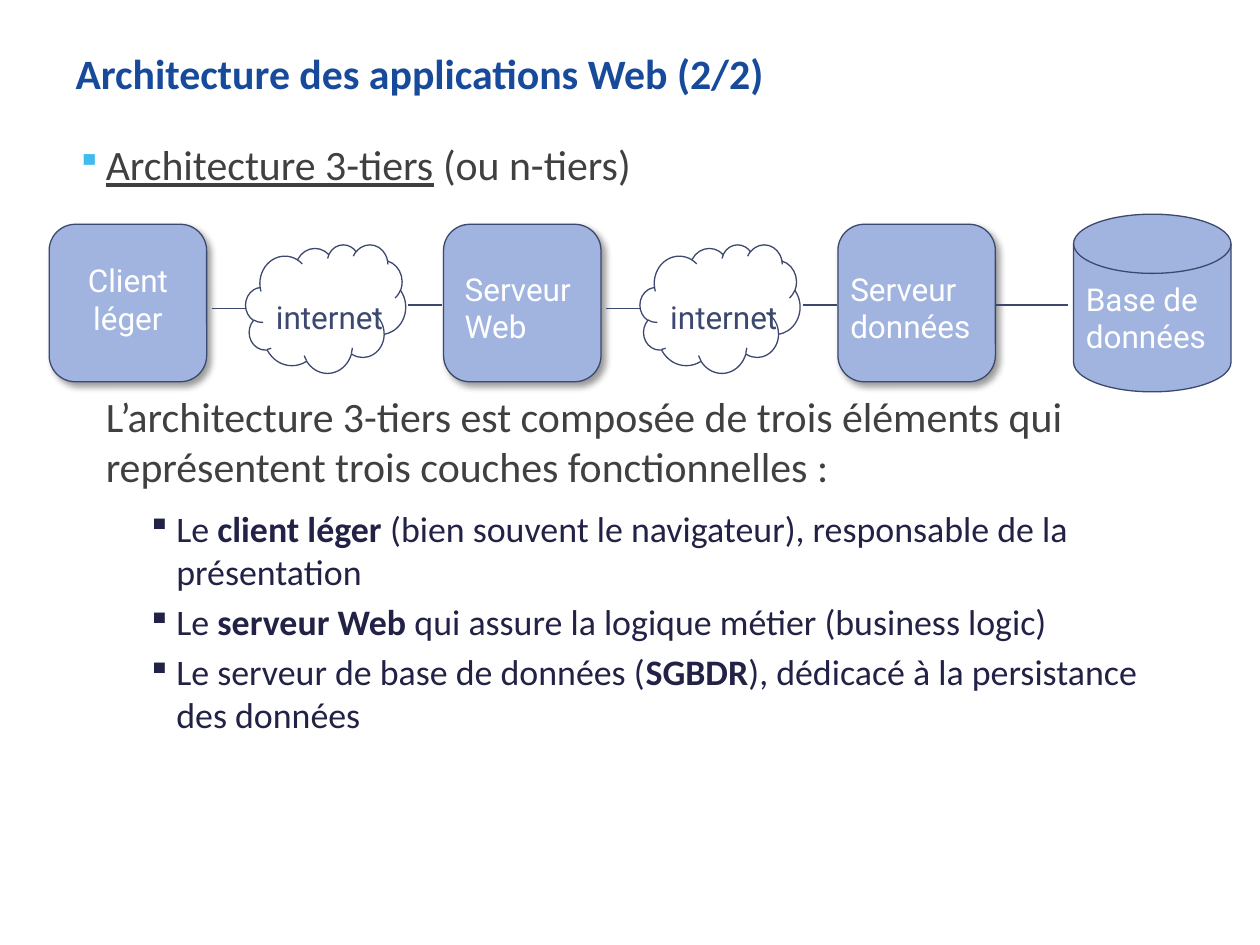
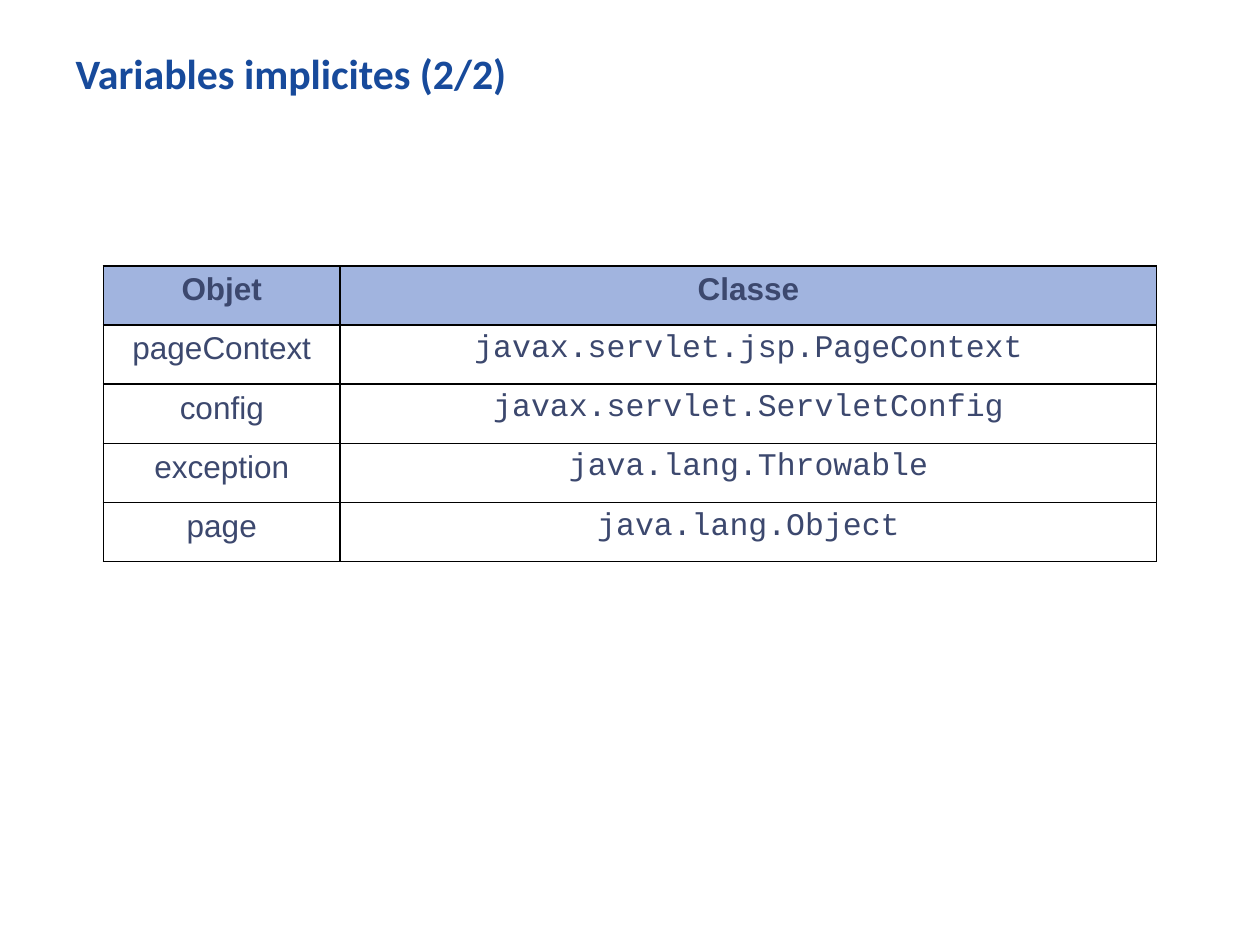
from dataclasses import dataclass
from lxml import etree
from pptx import Presentation
from pptx.dml.color import RGBColor
from pptx.enum.shapes import MSO_CONNECTOR, MSO_SHAPE
from pptx.enum.text import PP_ALIGN
from pptx.oxml.ns import qn
from pptx.util import Inches, Pt


@dataclass(frozen=True)
class Theme:
    title: str = "174A9B"
    text: str = "404040"
    item: str = "222146"
    mark: str = "40BBED"
    fill: str = "A1B4DF"
    line: str = "3C486E"
    white: str = "FFFFFF"
    black: str = "000000"
    body: str = "Calibri"
    label: str = "Roboto"
    cell: str = "Arial"
    code: str = "Courier New"
    big: float = 23.9
    mid: float = 20.5
    small: float = 18


T = Theme()


def color(code):
    return RGBColor.from_string(code)


def style(para, face, size, tint, bold=None):
    font = para.font
    font.name, font.size, font.bold = face, Pt(size), bold
    font.color.rgb = color(tint)


def add(parent, tag, **attrs):
    return etree.SubElement(parent, qn(tag), {k: str(v) for k, v in attrs.items()})


def indent(para, left, mark=None, size=100):
    """Set the left margin in inches; a mark colour adds a hanging square bullet."""
    props = para._p.get_or_add_pPr()
    props.set("marL", str(Inches(left)))
    props.set("indent", str(Inches(-0.23 if mark else 0)))
    if mark:
        add(add(props, "a:buClr"), "a:srgbClr", val=mark)
        add(props, "a:buSzPct", val=size * 1000)
        add(props, "a:buChar", char="▪")


def text_box(slide, left, top, width, height, pad=(0.11, 0.06)):
    box = slide.shapes.add_textbox(*map(Inches, (left, top, width, height)))
    frame = box.text_frame
    frame.word_wrap = True
    frame.margin_left = frame.margin_right = Inches(pad[0])
    frame.margin_top = frame.margin_bottom = Inches(pad[1])
    return frame


def add_runs(para, *parts):
    runs = []
    for part in parts:
        run = para.add_run()
        run.text = part
        runs.append(run)
    return runs


def new_slide(deck, title):
    slide = deck.slides.add_slide(deck.slide_layouts[6])
    para = text_box(slide, 0.49, 0.32, 9.01, 0.64).paragraphs[0]
    para.text = title
    style(para, T.body, T.big, T.title, True)
    return slide


def add_node(slide, kind, left, top, width, height, fill=T.fill, shade=False):
    node = slide.shapes.add_shape(kind, *map(Inches, (left, top, width, height)))
    node.shadow.inherit = False
    node.fill.solid()
    node.fill.fore_color.rgb = color(fill)
    node.line.color.rgb = color(T.line)
    node.line.width = Pt(0.75)
    if shade:
        glow = add(node._element.spPr.find(qn("a:effectLst")), "a:outerShdw",
                   blurRad=Pt(4), dist=Pt(3), dir=45 * 60000, algn="tl", rotWithShape=0)
        add(add(glow, "a:srgbClr", val=T.black), "a:alpha", val=40000)


def add_link(slide, start, end, level):
    link = slide.shapes.add_connector(
        MSO_CONNECTOR.STRAIGHT, *map(Inches, (start, level, end, level)))
    link.line.color.rgb = color(T.line)
    link.line.width = Pt(0.75)
    add(link._element.spPr, "a:effectLst")


def add_label(slide, text, left, top, width=1.33, tint=T.white, align=PP_ALIGN.LEFT, space=None):
    para = text_box(slide, left, top, width, 0.71, (0.1, 0.05)).paragraphs[0]
    para.text = text
    para.alignment = align
    para.line_spacing = space
    style(para, T.label, T.small, tint)


def add_tiers(slide, left, top):
    """Draw client, servers and database, joined through two internet clouds."""
    side, pitch = 1.25, 3.13
    for i in range(3):
        add_node(slide, MSO_SHAPE.ROUNDED_RECTANGLE, left + i * pitch, top + 0.08,
                 side, side, shade=True)
    add_label(slide, "Client\nléger", left, top + 0.32, side, align=PP_ALIGN.CENTER)
    add_label(slide, "Serveur\nWeb", left + pitch + 0.07, top + 0.39)
    add_label(slide, "Serveur\ndonnées", left + 2 * pitch, top + 0.39)
    for i in range(2):
        x = left + i * pitch + 1.56
        add_node(slide, MSO_SHAPE.CLOUD, x, top + 0.24, 1.27, 1.02, T.white)
        add_link(slide, x - 0.27, x, top + 0.75)
        add_link(slide, x + 1.29, x + 1.56, top + 0.72)
        add_label(slide, "internet", x, top + 0.24, tint=T.line,
                  align=PP_ALIGN.CENTER, space=2.26)
    store = left + 8.13
    add_node(slide, MSO_SHAPE.FLOWCHART_MAGNETIC_DISK, store, top, side, 1.41)
    add_label(slide, "Base de\ndonnées", store, top + 0.47)
    add_link(slide, store - 0.62, store - 0.04, top + 0.72)


def add_head(slide, left, top, width):
    para = text_box(slide, left, top, width, 0.55).paragraphs[0]
    indent(para, 0.23, T.mark, 80)
    style(para, T.body, T.big, T.text)
    add_runs(para, "Architecture 3-tiers", " (ou n-tiers)")[0].font.underline = True


def add_layers(slide, left, top, width):
    frame = text_box(slide, left, top, width, 3.4)
    intro = frame.paragraphs[0]
    intro.text = ("L’architecture 3-tiers est composée de trois éléments qui "
                  "représentent trois couches fonctionnelles :")
    indent(intro, 0.23)
    intro.space_after = Pt(4.8)
    style(intro, T.body, T.big, T.text)
    for parts in (
        ("Le ", "client léger", " (bien souvent le navigateur), responsable de la présentation"),
        ("Le ", "serveur Web", " qui assure la logique métier (business logic)"),
        ("Le serveur de base de données (", "SGBDR", "), dédicacé à la persistance des données"),
    ):
        para = frame.add_paragraph()
        para.space_before = Pt(4.1)
        indent(para, 0.79, T.item, 90)
        style(para, T.body, T.mid, T.item)
        add_runs(para, *parts)[1].font.bold = True


def add_border(cell):
    props = cell._tc.get_or_add_tcPr()
    for i, side in enumerate(("a:lnL", "a:lnR", "a:lnT", "a:lnB")):
        edge = etree.Element(qn(side), w=str(Pt(1)))
        add(add(edge, "a:solidFill"), "a:srgbClr", val=T.black)
        props.insert(i, edge)


def add_grid(slide, rows, left, top, widths, height):
    table = slide.shapes.add_table(
        len(rows), len(widths), Inches(left), Inches(top),
        Inches(sum(widths)), Inches(height * len(rows))).table
    for col, width in zip(table.columns, widths):
        col.width = Inches(width)
    for r, row in enumerate(rows):
        for c, text in enumerate(row):
            cell = table.cell(r, c)
            cell.fill.solid()
            cell.fill.fore_color.rgb = color(T.white if r else T.fill)
            add_border(cell)
            para = cell.text_frame.paragraphs[0]
            para.text = text
            para.alignment = PP_ALIGN.CENTER
            style(para, T.code if r and c else T.cell, T.small, T.line, r == 0)


def main():
    deck = Presentation()
    deck.slide_width, deck.slide_height = Inches(10), Inches(7.5)

    slide = new_slide(deck, "Architecture des applications Web (2/2)")
    add_head(slide, 0.5, 1.04, 9)
    add_layers(slide, 0.5, 3.04, 9)
    add_tiers(slide, 0.39, 1.7)

    slide = new_slide(deck, "Variables implicites (2/2)")
    rows = (
        ("Objet", "Classe"),
        ("pageContext", "javax.servlet.jsp.PageContext"),
        ("config", "javax.servlet.ServletConfig"),
        ("exception", "java.lang.Throwable"),
        ("page", "java.lang.Object"),
    )
    add_grid(slide, rows, 0.82, 2.11, (1.88, 6.48), 0.47)

    deck.save("out.pptx")


if __name__ == "__main__":
    main()
